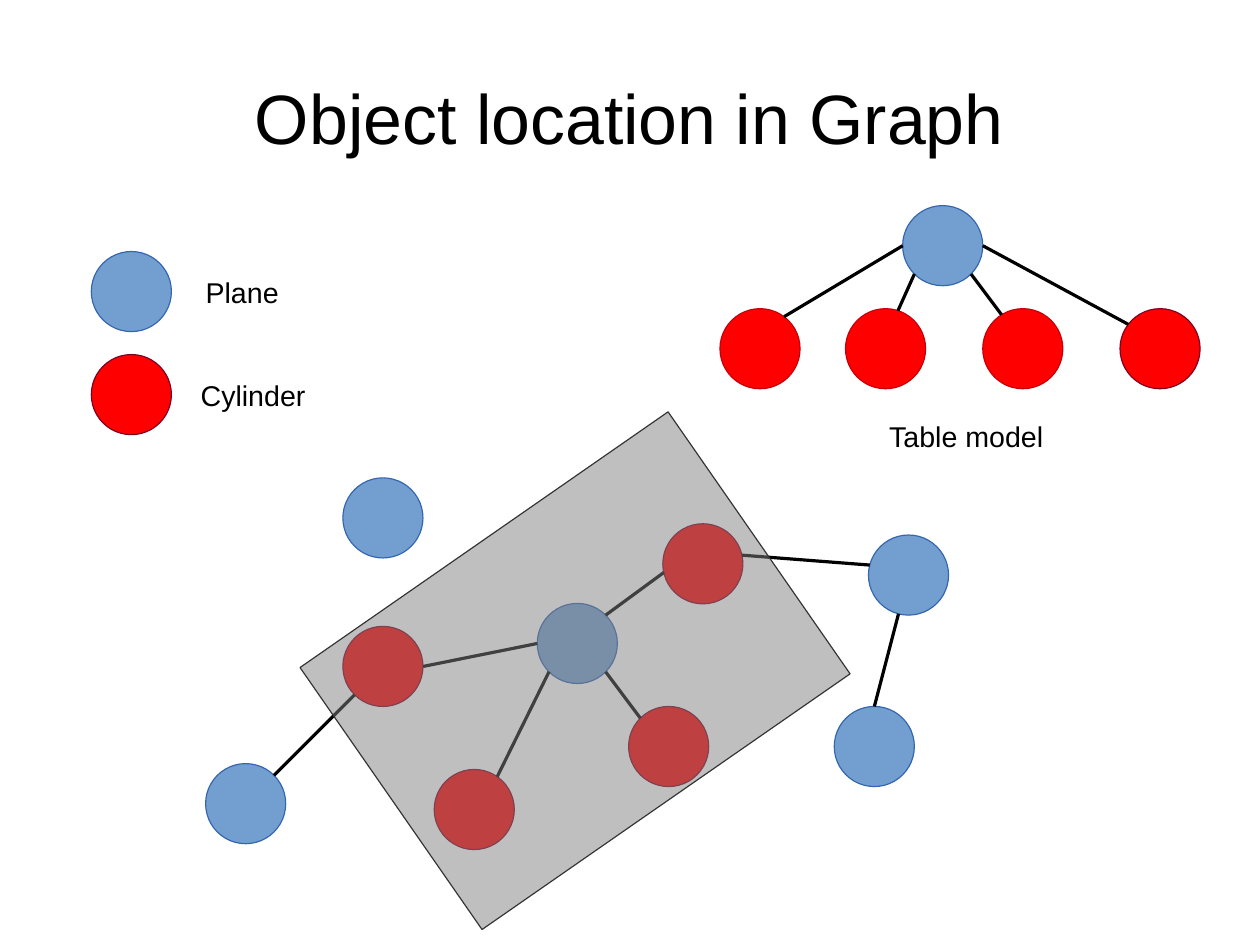
from dataclasses import dataclass
from math import cos, radians, sin

from lxml.etree import SubElement
from pptx import Presentation
from pptx.dml.color import RGBColor
from pptx.enum.shapes import MSO_CONNECTOR, MSO_SHAPE
from pptx.enum.text import MSO_ANCHOR, MSO_AUTO_SIZE, PP_ALIGN
from pptx.oxml.ns import qn
from pptx.util import Cm, Pt


@dataclass(frozen=True)
class Theme:
    font: str = "Arial"
    title_size: int = 44
    label_size: int = 18
    text: str = "000000"
    edge: str = "000000"
    plane: tuple = ("729FCF", "3465AF")
    cylinder: tuple = ("FF0000", "7E0021")
    model_cylinder: tuple = ("FF0000", "C5000B")
    overlay: tuple = ("808080", "333333")
    overlay_opacity: int = 50


THEME = Theme()
NODE = 1.78
RIGHT, LOWER_RIGHT, LOWER_LEFT, LEFT = 0, 45, 135, 180
UPPER_LEFT, TOP, UPPER_RIGHT = 225, 270, 315


def apply_format(target, values):
    for name, value in values.items():
        setattr(target, name, value)


def write(shape, wording, size, frame_format, align):
    frame = shape.text_frame
    frame.text = wording
    apply_format(frame, {"word_wrap": True, **frame_format})
    paragraph = frame.paragraphs[0]
    paragraph.alignment = align
    font = paragraph.runs[0].font
    apply_format(font, {"name": THEME.font, "size": Pt(size)})
    font.color.rgb = RGBColor.from_string(THEME.text)


def add_label(slide, wording, left, top, width):
    label = slide.shapes.add_textbox(Cm(left), Cm(top), Cm(width), Cm(0.97))
    write(label, wording, THEME.label_size,
          {"auto_size": MSO_AUTO_SIZE.SHAPE_TO_FIT_TEXT}, PP_ALIGN.LEFT)


def add_outlined(slide, preset, box, colours):
    shape = slide.shapes.add_shape(preset, *map(Cm, box))
    shape.shadow.inherit = False
    fill, outline = map(RGBColor.from_string, colours)
    shape.fill.solid()
    shape.fill.fore_color.rgb = fill
    shape.line.color.rgb = outline
    shape.line.width = Pt(0)
    return shape


def add_node(slide, left, top, colours):
    """Draw a graph node and return its centre in centimetres."""
    add_outlined(slide, MSO_SHAPE.OVAL, (left, top, NODE, NODE), colours)
    return left + NODE / 2, top + NODE / 2


def rim_point(centre, angle):
    """Point on a node's rim, with the angle clockwise from the right."""
    x, y = centre
    turn = radians(angle)
    return Cm(x + NODE / 2 * cos(turn)), Cm(y + NODE / 2 * sin(turn))


def add_edge(slide, start, start_angle, end, end_angle):
    edge = slide.shapes.add_connector(
        MSO_CONNECTOR.STRAIGHT,
        *rim_point(start, start_angle), *rim_point(end, end_angle))
    edge.line.color.rgb = RGBColor.from_string(THEME.edge)
    edge.line.width = Pt(0)
    SubElement(edge._element.spPr, qn("a:effectLst"))


def add_title(slide, left, top, width, height):
    title = slide.shapes.title
    apply_format(title, {"left": Cm(left), "top": Cm(top),
                         "width": Cm(width), "height": Cm(height)})
    margins = dict.fromkeys(
        ("margin_left", "margin_top", "margin_right", "margin_bottom"), 0)
    write(title, "Object location in Graph", THEME.title_size,
          {"vertical_anchor": MSO_ANCHOR.MIDDLE,
           "auto_size": MSO_AUTO_SIZE.NONE, **margins}, PP_ALIGN.CENTER)


def add_legend(slide, left, top):
    entries = (("Plane", THEME.plane, 2.29), ("Cylinder", THEME.cylinder, 2.18))
    for row, (wording, colours, indent) in enumerate(entries):
        row_top = top + row * 2.29
        add_node(slide, left, row_top, colours)
        add_label(slide, wording, left + indent, row_top + 0.4, 4)


def add_table_model(slide, left, top):
    table_top = add_node(slide, left + 4.06, top, THEME.plane)
    legs = (
        (0, THEME.model_cylinder, LEFT, 306.9),
        (2.79, THEME.model_cylinder, LOWER_LEFT, 288),
        (5.84, THEME.model_cylinder, LOWER_RIGHT, 238),
        (8.89, THEME.cylinder, RIGHT, 217.5),
    )
    for offset, colours, top_angle, leg_angle in legs:
        leg = add_node(slide, left + offset, top + 2.29, colours)
        add_edge(slide, table_top, top_angle, leg, leg_angle)
    add_label(slide, "Table model", left + 3.51, top + 4.62, 5.33)


def add_scene_graph(slide, left, top):
    """Draw the scene's graph and shade the part that matches the table."""
    places = {
        "left leg": (3.05, 3.3, THEME.cylinder),
        "upper leg": (10.16, 1.02, THEME.cylinder),
        "right leg": (9.4, 5.08, THEME.cylinder),
        "lower leg": (5.08, 6.48, THEME.cylinder),
        "upper plane": (14.73, 1.27, THEME.plane),
        "lone plane": (3.05, 0, THEME.plane),
        "right plane": (13.97, 5.08, THEME.plane),
        "left plane": (0, 6.35, THEME.plane),
        "table top": (7.37, 2.79, THEME.plane),
    }
    nodes = {part: add_node(slide, left + x, top + y, colours)
             for part, (x, y, colours) in places.items()}
    edges = (
        ("lower leg", 304.9, "table top", LOWER_LEFT),
        ("table top", LOWER_RIGHT, "right leg", UPPER_LEFT),
        ("left leg", LOWER_LEFT, "left plane", UPPER_RIGHT),
        ("left leg", RIGHT, "table top", LEFT),
        ("upper leg", 167.5, "table top", UPPER_RIGHT),
        ("upper leg", 347.5, "upper plane", 194.5),
        ("upper plane", 104.5, "right plane", TOP),
    )
    for start, start_angle, end, end_angle in edges:
        add_edge(slide, nodes[start], start_angle, nodes[end], end_angle)

    overlay = add_outlined(slide, MSO_SHAPE.RECTANGLE,
                           (left + 3.23, top + 0.74, 9.96, 7.09), THEME.overlay)
    overlay.rotation = 325.2
    fill_colour = overlay._element.spPr.find(qn("a:solidFill"))[0]
    SubElement(fill_colour, qn("a:alpha"), val=str(THEME.overlay_opacity * 1000))


def main():
    deck = Presentation()
    apply_format(deck, {"slide_width": Cm(28), "slide_height": Cm(21)})
    slide = deck.slides.add_slide(deck.slide_layouts[5])
    add_title(slide, 1.4, 0.84, 25.2, 3.51)
    add_legend(slide, 2.03, 5.59)
    add_table_model(slide, 16, 4.57)
    add_scene_graph(slide, 4.57, 10.62)
    deck.save("out.pptx")


if __name__ == "__main__":
    main()
